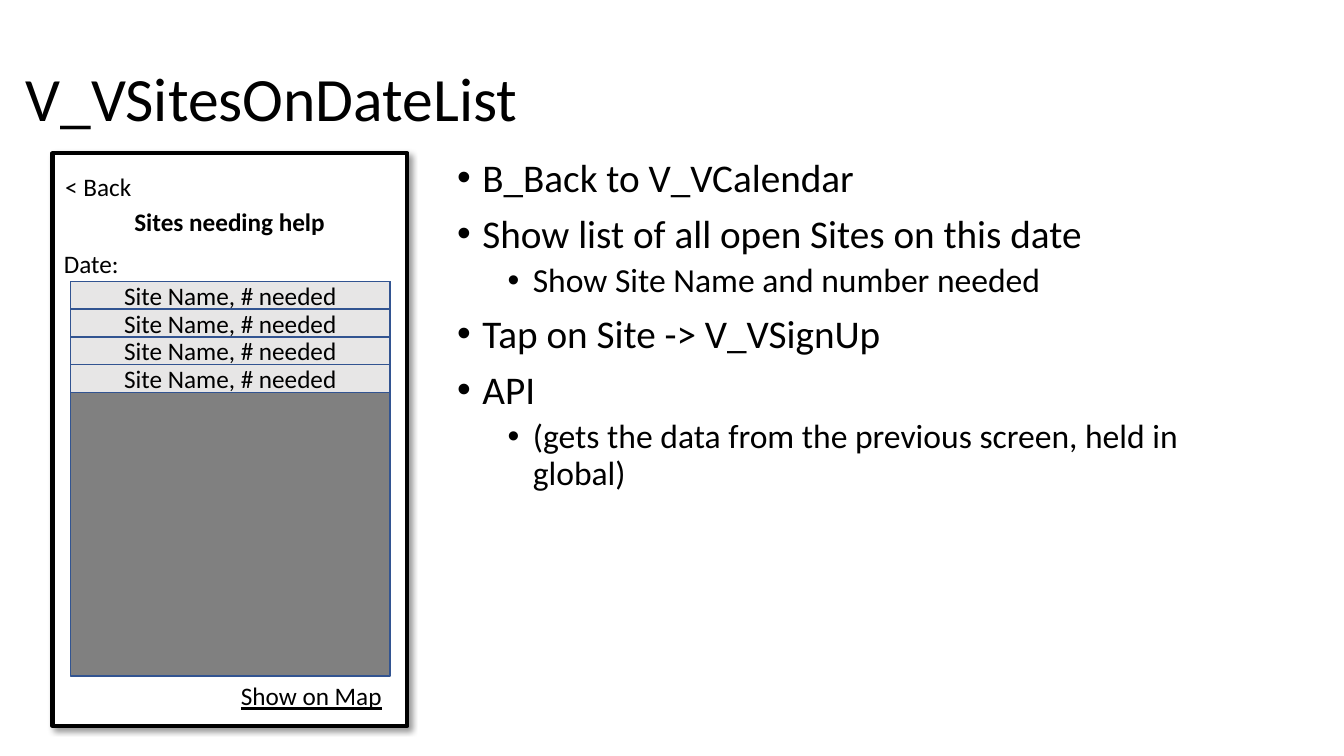
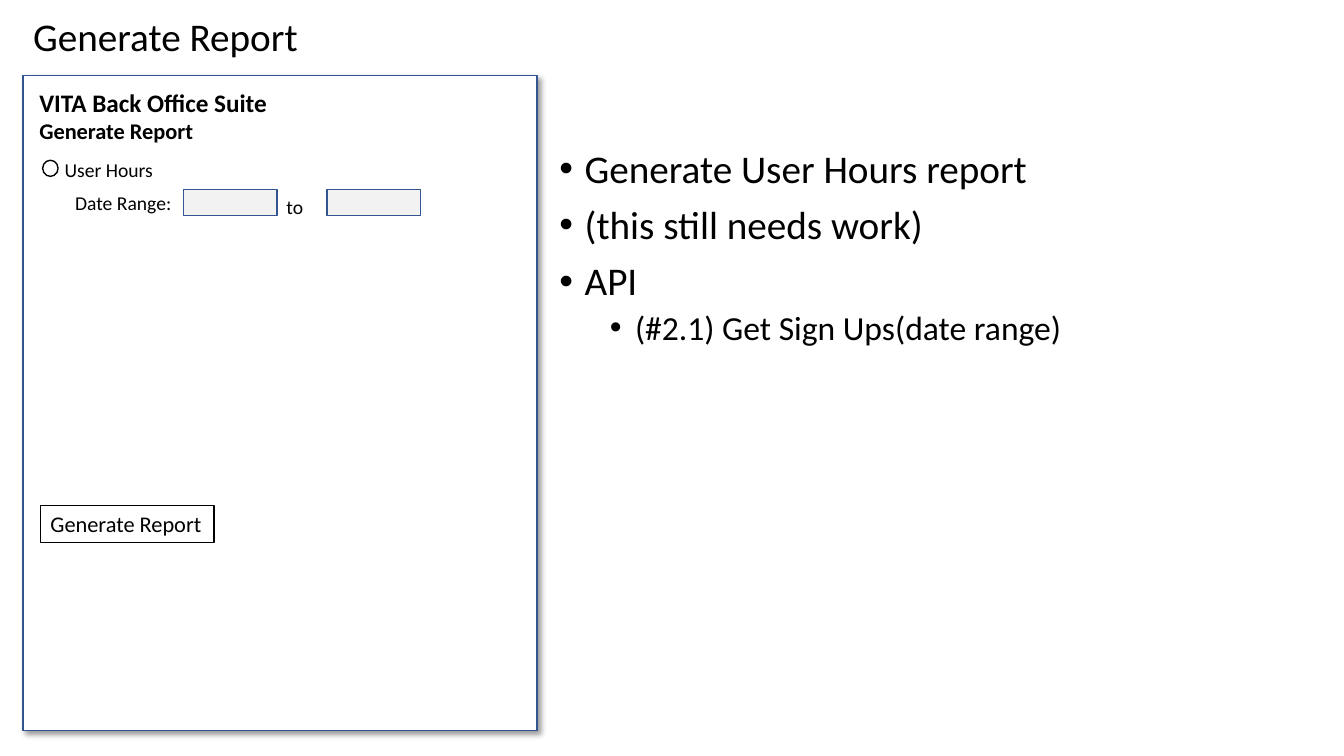
from lxml.etree import SubElement
from pptx import Presentation
from pptx.dml.color import RGBColor
from pptx.enum.shapes import MSO_SHAPE
from pptx.enum.text import MSO_ANCHOR, MSO_AUTO_SIZE, PP_ALIGN
from pptx.oxml.ns import qn
from pptx.util import Pt

COLORS = {
    "ink": "000000",
    "paper": "FFFFFF",
    "outline": "325491",
    "list": "808080",
    "row": "E7E6E6",
    "field": "F2F2F2",
}
FONT = "Calibri"
# Size, space before, left indent and bullet character of each level
BULLET_LEVELS = [(28, 10, 18, "•"), (24, 5, 54, "•")]
BULLET_HANGING = 18
LINE_SPACING = 0.9


def color(name):
    return RGBColor.from_string(COLORS[name])


def apply_format(target, values):
    for name, value in values.items():
        setattr(target, name, value)


def format_font(font, size, **extra):
    apply_format(font, {"name": FONT, "size": Pt(size), **extra})
    font.color.rgb = color("ink")


def write_text(shape, text, size, align=PP_ALIGN.LEFT, anchor=MSO_ANCHOR.TOP,
               wrap=False, **font_format):
    frame = shape.text_frame
    apply_format(frame, {"word_wrap": wrap, "vertical_anchor": anchor,
                         "auto_size": MSO_AUTO_SIZE.NONE, "text": text})
    paragraph = frame.paragraphs[0]
    paragraph.alignment = align
    format_font(paragraph.font, size, **font_format)
    return paragraph


def add_title(slide, text, box, size):
    title = slide.shapes.title
    names = ("left", "top", "width", "height")
    apply_format(title, {name: Pt(value) for name, value in zip(names, box)})
    paragraph = write_text(title, text, size, anchor=MSO_ANCHOR.MIDDLE, wrap=True)
    paragraph.line_spacing = LINE_SPACING


def add_label(shapes, text, box, size, **text_format):
    label = shapes.add_textbox(*map(Pt, box))
    write_text(label, text, size, **text_format)


def add_box(shapes, box, fill, line="outline", line_width=1, kind=MSO_SHAPE.RECTANGLE):
    shape = shapes.add_shape(kind, *map(Pt, box))
    shape.shadow.inherit = False
    shape.fill.solid()
    shape.fill.fore_color.rgb = color(fill)
    shape.line.color.rgb = color(line)
    shape.line.width = Pt(line_width)
    return shape


def add_screen(shapes, box, line, line_width):
    """Draw the mock-up's white panel with a soft shadow to the lower right."""
    screen = add_box(shapes, box, "paper", line, line_width)
    effects = screen.element.spPr.find(qn("a:effectLst"))
    shadow = SubElement(effects, qn("a:outerShdw"), blurRad=str(Pt(4)), dist=str(Pt(3)),
                        dir=str(45 * 60000), algn="tl", rotWithShape="0")
    shadow_color = SubElement(shadow, qn("a:srgbClr"), val=COLORS["ink"])
    SubElement(shadow_color, qn("a:alpha"), val="40000")


def add_bullets(slide, box, items):
    """Write (level, text) items as a bulleted list."""
    frame = slide.shapes.add_textbox(*map(Pt, box)).text_frame
    frame.word_wrap = True
    for index, (level, text) in enumerate(items):
        paragraph = frame.add_paragraph() if index else frame.paragraphs[0]
        size, space_before, indent, character = BULLET_LEVELS[level]
        apply_format(paragraph, {"text": text, "level": level,
                                 "line_spacing": LINE_SPACING,
                                 "space_before": Pt(space_before if index else 0)})
        properties = paragraph._p.get_or_add_pPr()
        properties.set("marL", str(Pt(indent)))
        properties.set("indent", str(-Pt(BULLET_HANGING)))
        SubElement(properties, qn("a:buFont"), typeface="Arial")
        SubElement(properties, qn("a:buChar"), char=character)
        format_font(paragraph.font, size)


def add_site_list(shapes, left, top, width, height, row_count=4, row_height=19.8):
    add_box(shapes, (left, top, width, height), "list")
    for index in range(row_count):
        row = add_box(shapes, (left, top + index * row_height, width, row_height), "row")
        write_text(row, "Site Name, # needed", 18, align=PP_ALIGN.CENTER,
                   anchor=MSO_ANCHOR.MIDDLE, wrap=True)


def add_radio_option(shapes, text, left, top):
    group = shapes.add_group_shape()
    add_label(group.shapes, text, (left + 8.5, top, 78.5, 24.5), 14)
    add_box(group.shapes, (left, top + 5.5, 11, 11.5), "paper", "ink", kind=MSO_SHAPE.OVAL)


def build_site_list_slide(slide):
    shapes = slide.shapes
    add_screen(shapes, (37.5, 109.5, 253.5, 409), "ink", 3)
    add_title(slide, "V_VSitesOnDateList", (11, 20, 828, 104.5), 44)
    add_bullets(slide, (319.5, 109.5, 574.5, 409), [
        (0, "B_Back to V_VCalendar"),
        (0, "Show list of all open Sites on this date"),
        (1, "Show Site Name and number needed"),
        (0, "Tap on Site -> V_VSignUp"),
        (0, "API"),
        (1, "(gets the data from the previous screen, held in global)"),
    ])
    add_label(shapes, "< Back", (39.5, 119, 62, 29), 18)
    add_site_list(shapes, 50.5, 201, 228, 282)
    add_label(shapes, "Date:", (38.5, 173.5, 251, 29), 18, wrap=True)
    add_label(shapes, "Show on Map", (165, 482.5, 116.5, 29), 18, underline=True)
    add_label(shapes, "Sites needing help", (38.5, 143.5, 251, 29), 18,
              align=PP_ALIGN.CENTER, wrap=True, bold=True)


def build_report_slide(slide):
    shapes = slide.shapes
    add_title(slide, "Generate Report", (16.5, 3, 438, 50), 28)
    add_bullets(slide, (392.5, 103, 538.5, 384), [
        (0, "Generate User Hours report"),
        (0, "(this still needs work)"),
        (0, "API"),
        (1, "(#2.1) Get Sign Ups(date range)"),
    ])
    add_screen(shapes, (16.5, 54, 367, 468), "outline", 1)
    add_label(shapes, "VITA Back Office Suite", (21, 58.5, 179.5, 29), 18, bold=True)
    add_label(shapes, "Generate Report", (21, 80, 126, 26.5), 16, bold=True)
    add_radio_option(shapes, "User Hours", 30.5, 109)
    add_label(shapes, "Date Range:", (46.5, 132.5, 84.5, 24.5), 14)
    add_label(shapes, "to", (197.5, 135.5, 26.5, 24.5), 14)
    for left in (131, 233.5):
        add_box(shapes, (left, 135.5, 67, 18.5), "field")
    button = add_box(shapes, (29, 361, 124, 26.5), "paper", "ink")
    write_text(button, "Generate Report", 16)


def main():
    presentation = Presentation()
    presentation.slide_width = Pt(960)
    presentation.slide_height = Pt(540)
    title_only = presentation.slide_layouts.get_by_name("Title Only")
    for build in (build_site_list_slide, build_report_slide):
        build(presentation.slides.add_slide(title_only))
    presentation.save("out.pptx")


if __name__ == "__main__":
    main()
